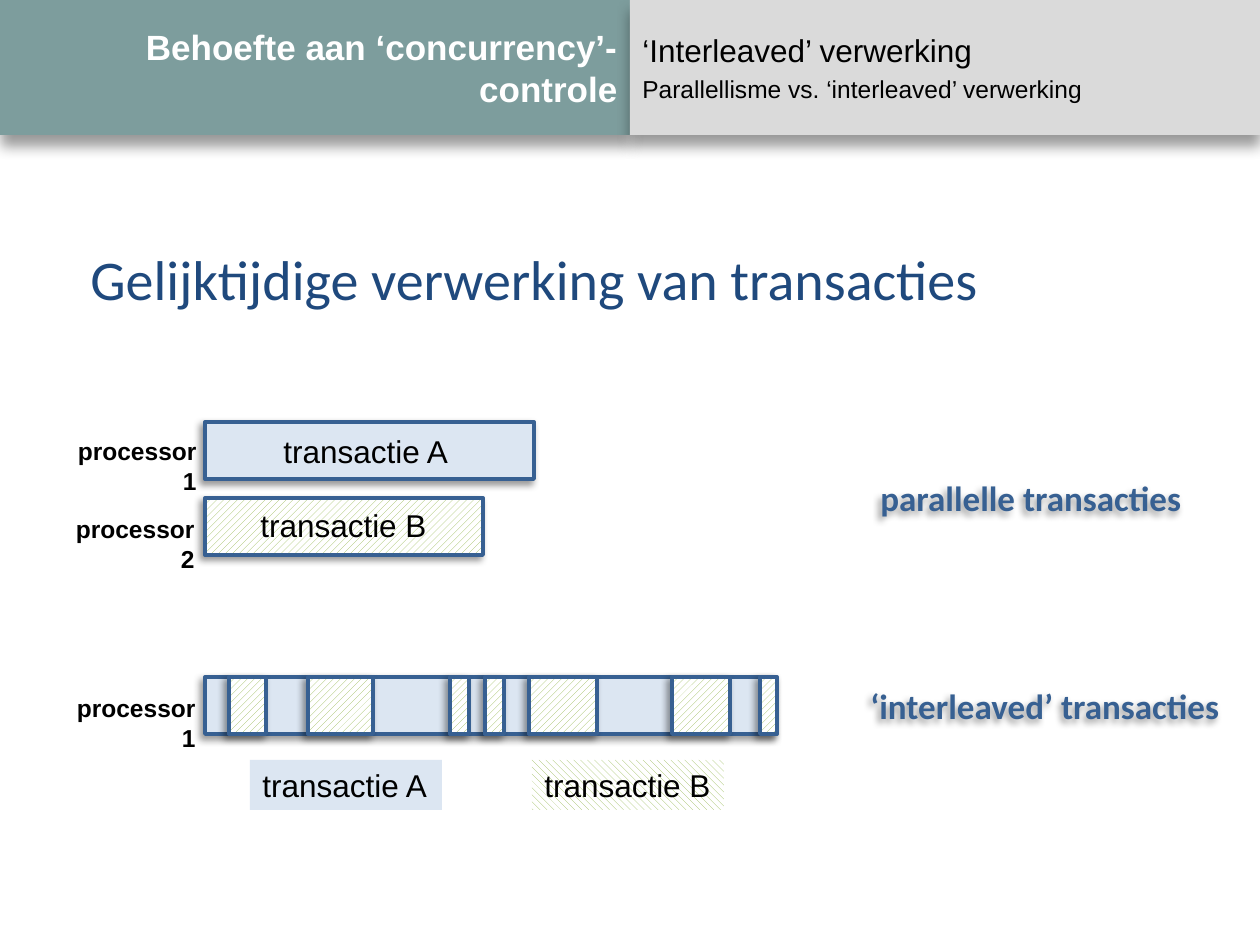
from lxml import etree
from pptx import Presentation
from pptx import util as u
from pptx.dml.color import RGBColor
from pptx.enum import dml, shapes, text
from pptx.oxml.ns import qn

SCALE = 914400 / 126
LEFT, RIGHT = text.PP_ALIGN.LEFT, text.PP_ALIGN.RIGHT
MIDDLE, TOP = text.MSO_ANCHOR.MIDDLE, text.MSO_ANCHOR.TOP
UP = dml.MSO_PATTERN.WIDE_UPWARD_DIAGONAL
DOWN = dml.MSO_PATTERN.WIDE_DOWNWARD_DIAGONAL

BLUE, PALE, GREEN = "376092", "DCE6F2", "9BBB59"
HEADER_SHADOW = (8, 6, 90)
BAR_SHADOW = (4, 3, 135)


def px(length):
    return u.Emu(round(length * SCALE))


def color(value):
    return RGBColor.from_string(value)


def write(para, words, size=18, font="Arial", ink="000000", bold=False,
          align=LEFT, before=0):
    para.alignment = align
    para.space_before = u.Pt(before)
    span = para.add_run()
    span.text = words
    span.font.size = u.Pt(size)
    span.font.name = font
    span.font.bold = bold
    span.font.color.rgb = color(ink)


class Painter:
    """Holds the current slide and the style of its elements."""

    def __init__(self, page):
        self.page = page

    def shadow(self, box, blur, distance, angle):
        box.shadow.inherit = False
        effects = box._element.spPr.find(qn("a:effectLst"))
        outer = etree.SubElement(
            effects, qn("a:outerShdw"), blurRad=str(u.Pt(blur)),
            dist=str(u.Pt(distance)), dir=str(angle * 60000),
            algn="tl", rotWithShape="0")
        tint = etree.SubElement(outer, qn("a:srgbClr"), val="000000")
        etree.SubElement(tint, qn("a:alpha"), val="40000")

    def frame(self, box, anchor=TOP, wrap=False):
        frame = box.text_frame
        frame.word_wrap = wrap
        frame.vertical_anchor = anchor
        return frame

    def rect(self, x, y, w, h, fill=PALE, pattern=None, line=None, shadow=None):
        box = self.page.shapes.add_shape(
            shapes.MSO_SHAPE.RECTANGLE, px(x), px(y), px(w), px(h))
        box.shadow.inherit = False
        if pattern:
            box.fill.patterned()
            box.fill.pattern = pattern
            box.fill.fore_color.rgb = color(GREEN)
            box.fill.back_color.rgb = color("FFFFFF")
        else:
            box.fill.solid()
            box.fill.fore_color.rgb = color(fill)
        if line:
            box.line.color.rgb = color(line)
            box.line.width = u.Pt(2.25)
        else:
            box.line.fill.background()
        if shadow:
            self.shadow(box, *shadow)
        return box

    def bar(self, x, y, w, pattern=None):
        return self.rect(x, y, w, 57, pattern=pattern, line=BLUE,
                         shadow=BAR_SHADOW)

    def label(self, x, y, w, h, words, wrap=False, shadow=None, **style):
        box = self.page.shapes.add_textbox(px(x), px(y), px(w), px(h))
        write(self.frame(box, wrap=wrap).paragraphs[0], words, **style)
        if shadow:
            self.shadow(box, *shadow)

    def legend(self, x, words, pattern=None):
        box = self.rect(x, 760, 192, 50, pattern=pattern)
        write(self.frame(box, MIDDLE).paragraphs[0], words)


def main():
    deck = Presentation()
    deck.slide_width, deck.slide_height = px(1260), px(945)
    painter = Painter(deck.slides.add_slide(deck.slide_layouts[6]))

    # Header
    title = painter.rect(0, 0, 630, 135, "7D9D9D", shadow=HEADER_SHADOW)
    write(painter.frame(title, MIDDLE, True).paragraphs[0],
          "Behoefte aan ‘concurrency’-controle",
          size=20, ink="FFFFFF", bold=True, align=RIGHT)
    topic = painter.rect(630, 0, 630, 135, "DADADA", shadow=HEADER_SHADOW)
    frame = painter.frame(topic, MIDDLE, True)
    write(frame.paragraphs[0], "‘Interleaved’ verwerking", before=3.6)
    write(frame.add_paragraph(), "Parallellisme vs. ‘interleaved’ verwerking",
          size=14, before=2.8)

    # Heading
    painter.label(78, 238, 1090, 80, "Gelijktijdige verwerking van transacties",
                  wrap=True, size=32, font="Calibri", ink="1F497D")

    # Parallel transactions, one bar per processor
    painter.bar(205, 422, 329)
    painter.label(271, 426, 192, 50, "transactie A")
    painter.bar(205, 498, 278, UP)
    painter.label(248, 500, 192, 50, "transactie B")

    # Interleaved transactions: slices of B within A
    painter.bar(205, 677, 571)
    for x, w in ((229, 37), (308, 65), (450, 19), (485, 19),
                 (529, 68), (672, 58), (760, 17)):
        painter.bar(x, 677, w, UP)
    painter.legend(250, "transactie A")
    painter.legend(532, "transactie B", DOWN)

    # Processor names
    for x, y, number in ((47, 430, 1), (45, 508, 2), (46, 687, 1)):
        painter.label(x, y, 162, 42, f"processor {number}", wrap=True,
                      size=14, bold=True, align=RIGHT)

    # Names of the two ways of processing
    for x, y, w, words in ((868, 470, 328, "parallelle transacties"),
                           (858, 678, 378, "‘interleaved’ transacties")):
        painter.label(x, y, w, 55, words, shadow=BAR_SHADOW,
                      size=20, font="Calibri", ink=BLUE, bold=True)

    deck.save("out.pptx")


if __name__ == "__main__":
    main()
